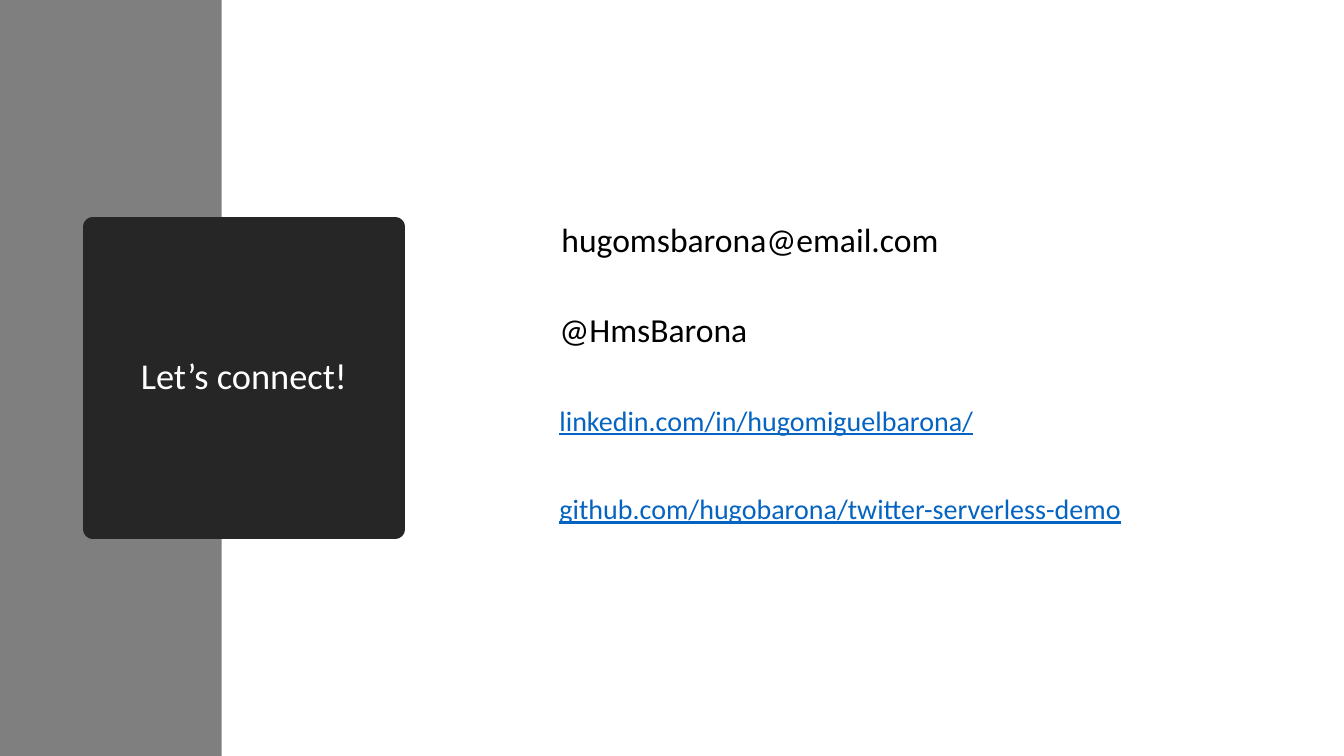
from dataclasses import dataclass

from lxml import etree
from pptx import Presentation
from pptx.dml.color import RGBColor
from pptx.enum.shapes import MSO_SHAPE
from pptx.enum.text import MSO_ANCHOR, MSO_AUTO_SIZE, PP_ALIGN
from pptx.oxml.ns import qn
from pptx.util import Inches, Pt

RECTANGLE = MSO_SHAPE.RECTANGLE
MIDDLE, TOP = MSO_ANCHOR.MIDDLE, MSO_ANCHOR.TOP
CENTER, LEFT = PP_ALIGN.CENTER, PP_ALIGN.LEFT
NO_FIT, GROW = MSO_AUTO_SIZE.NONE, MSO_AUTO_SIZE.SHAPE_TO_FIT_TEXT
FONT = "Calibri"
BAND, CARD, WHITE, BLACK, LINK = "7F7F7F", "262626", "FFFFFF", "000000", "0563C1"


@dataclass(frozen=True)
class Contact:
    text: str
    left: float
    top: float
    width: float
    is_link: bool = False


CONTACTS = [
    Contact("hugomsbarona@email.com", 5.47, 2.12, 7.77),
    Contact("@HmsBarona", 5.45, 3.02, 7.77),
    Contact("linkedin.com/in/hugomiguelbarona/", 5.45, 3.95, 6.98, True),
    Contact("github.com/hugobarona/twitter-serverless-demo", 5.45, 4.83, 7.07, True),
]


def color(value: str) -> RGBColor:
    return RGBColor.from_string(value)


def write(shape, text: str, *, size: float, ink: str, align=LEFT, anchor=TOP,
          fit=GROW, underline: bool = False, spacing: float = 1.0) -> None:
    frame = shape.text_frame
    frame.word_wrap = True
    frame.auto_size = fit
    frame.vertical_anchor = anchor
    para = frame.paragraphs[0]
    para.alignment = align
    para.line_spacing = spacing
    span = para.add_run()
    span.text = text
    span.font.name = FONT
    span.font.size = Pt(size)
    span.font.underline = underline
    span.font.color.rgb = color(ink)


def add_band(page) -> None:
    band = page.shapes.add_shape(RECTANGLE, 0, 0, Inches(2.2), Inches(7.5))
    band.shadow.inherit = False
    band.fill.solid()
    band.fill.fore_color.rgb = color(BAND)
    band.line.fill.background()
    page.shapes.title.element.addprevious(band.element)


def format_title(page) -> None:
    title = page.shapes.title
    title.left, title.top = Inches(0.92), Inches(2.25)
    title.width = title.height = Inches(3)
    title.fill.solid()
    title.fill.fore_color.rgb = color(CARD)
    title.line.color.rgb = color(CARD)
    title.line.width = Pt(13.75)
    outline = title.element.spPr.find(qn("a:ln"))
    etree.SubElement(outline, qn("a:round"))
    write(title, "Let’s connect!", size=26, ink=WHITE, align=CENTER,
          anchor=MIDDLE, fit=NO_FIT, spacing=0.9)


def add_contact(page, contact: Contact) -> None:
    height = 0.44 if contact.is_link else 0.5
    box = page.shapes.add_textbox(Inches(contact.left), Inches(contact.top),
                                  Inches(contact.width), Inches(height))
    write(box, contact.text, size=20 if contact.is_link else 24,
          ink=LINK if contact.is_link else BLACK, underline=contact.is_link)


def main() -> None:
    deck = Presentation()
    deck.slide_width, deck.slide_height = Inches(13.33), Inches(7.5)
    page = deck.slides.add_slide(deck.slide_layouts.get_by_name("Title Only"))
    add_band(page)
    format_title(page)
    for contact in CONTACTS:
        add_contact(page, contact)
    deck.save("out.pptx")


if __name__ == "__main__":
    main()
